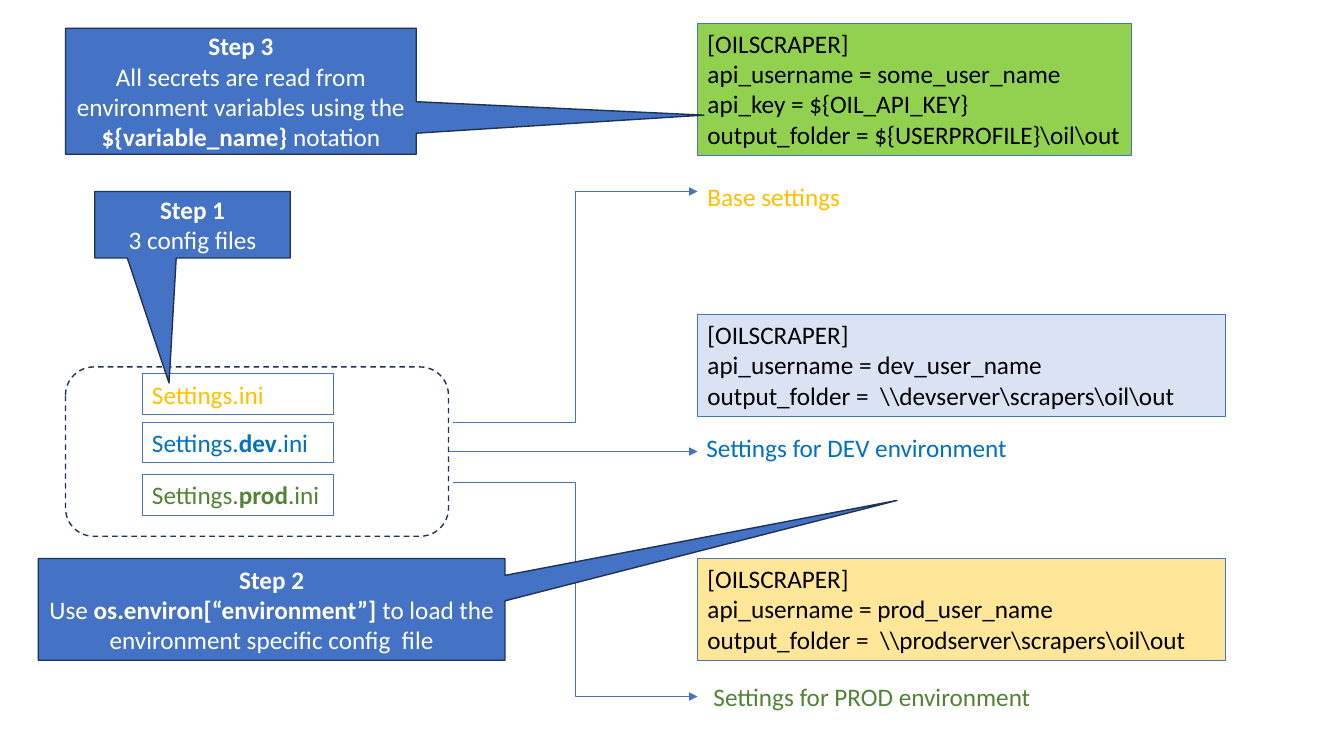
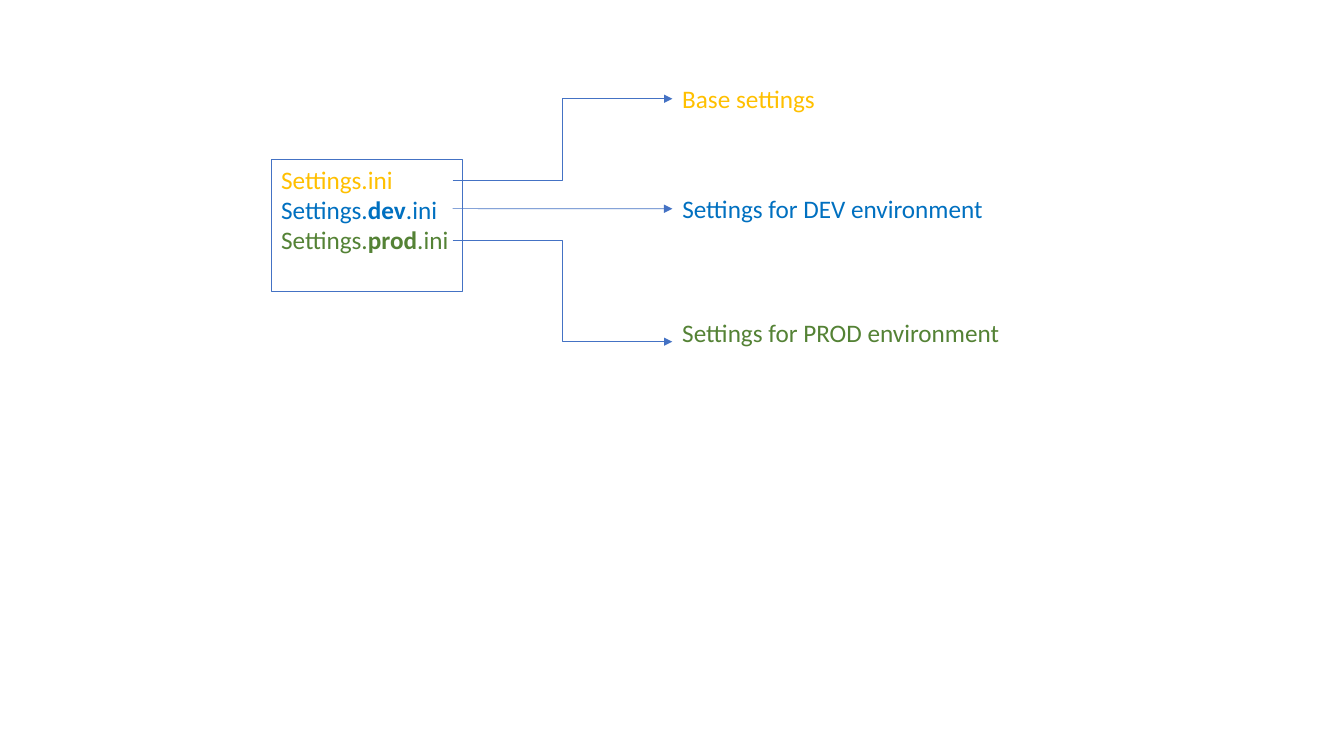
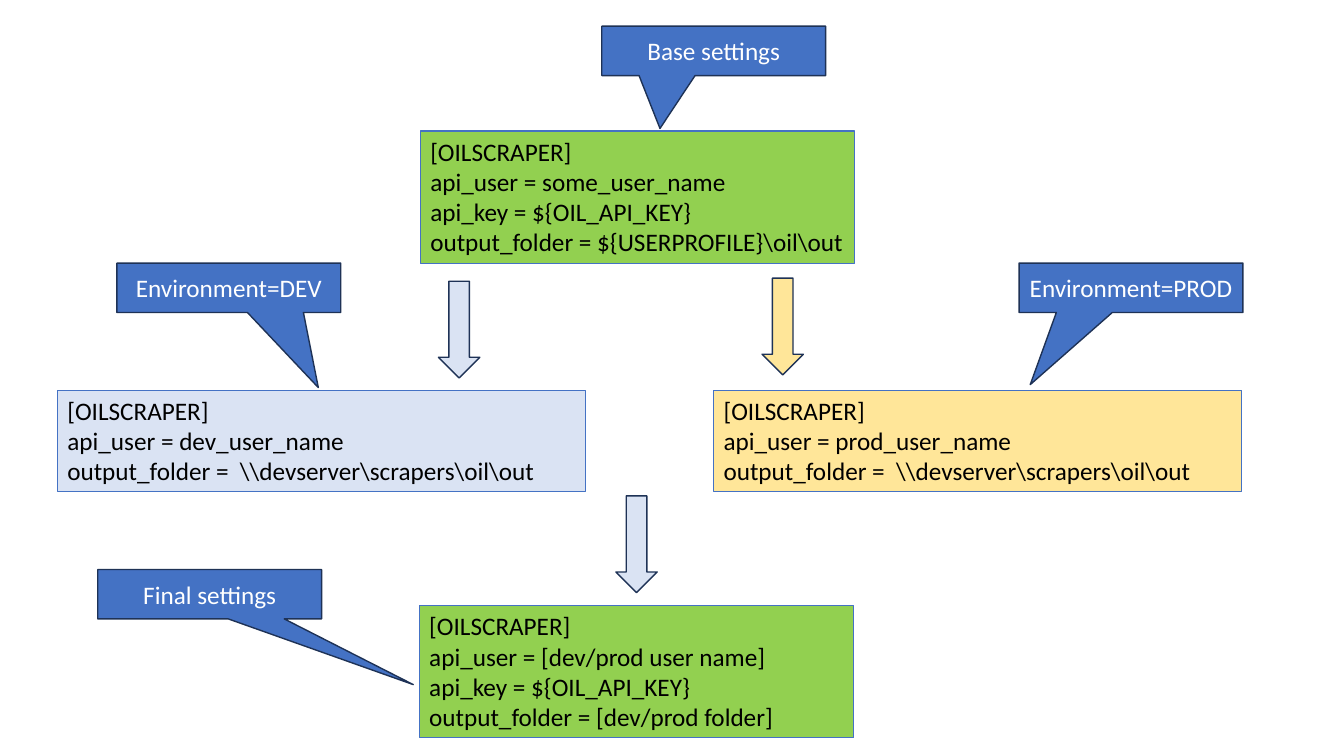
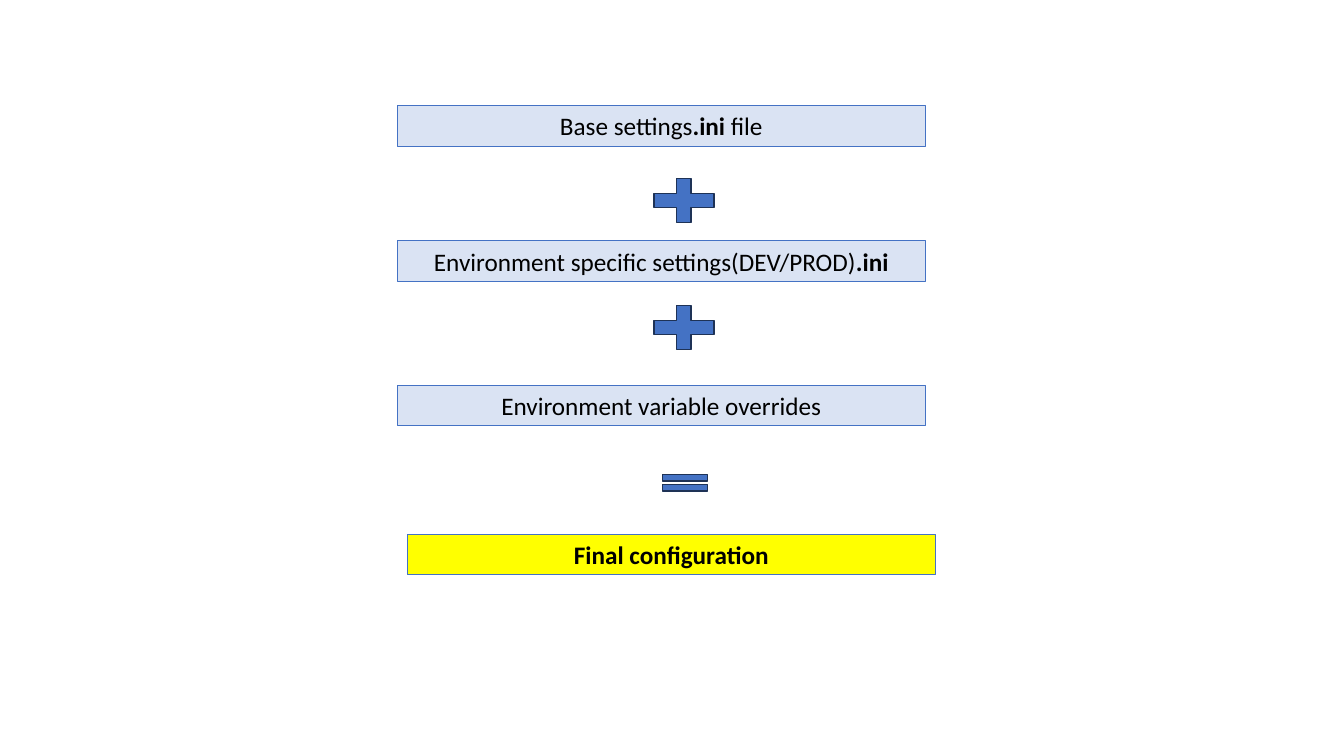
from lxml.etree import SubElement
from pptx import Presentation
from pptx.dml.color import RGBColor
from pptx.enum.dml import MSO_LINE
from pptx.enum.shapes import MSO_CONNECTOR, MSO_SHAPE
from pptx.enum.text import MSO_ANCHOR, PP_ALIGN
from pptx.oxml.ns import qn
from pptx.util import Inches, Pt

BLUE = RGBColor(0x44, 0x72, 0xC4)
NAVY = RGBColor(0x1E, 0x32, 0x56)
PALE_BLUE = RGBColor(0xDA, 0xE3, 0xF3)
PALE_GOLD = RGBColor(0xFF, 0xE6, 0x99)
LIME = RGBColor(0x92, 0xD0, 0x50)
YELLOW = RGBColor(0xFF, 0xFF, 0x00)
BLACK = RGBColor(0, 0, 0)
WHITE = RGBColor(0xFF, 0xFF, 0xFF)
BASE_COLOR = RGBColor(0xFF, 0xC0, 0x00)
DEV_COLOR = RGBColor(0x00, 0x70, 0xC0)
PROD_COLOR = RGBColor(0x54, 0x82, 0x35)

FONT, TEXT_SIZE = "Calibri", Pt(18)
LINE_ROWS, PADDING_ROWS = 3.03, 1  # height of a text line and of the box padding
WIDE = 52.4  # columns of a wide card

# File name, text colour, what the file holds, width of that label
FILES = [
    ("Settings.ini", BASE_COLOR, "Base settings", 19.4),
    ("Settings.**dev**.ini", DEV_COLOR, "Settings for DEV environment", 32.8),
    ("Settings.**prod**.ini", PROD_COLOR, "Settings for PROD environment", 37.6),
]


def cells(*counts):
    """Turn columns or rows of the tenth-of-an-inch grid into lengths."""
    return [Inches(count / 10) for count in counts]


def rows_for(line_count):
    return line_count * LINE_ROWS + PADDING_ROWS


def write(shape, lines, colors, align=PP_ALIGN.LEFT, anchor=MSO_ANCHOR.TOP):
    """Write one paragraph a line; text between ** marks is bold."""
    frame = shape.text_frame
    frame.word_wrap = True
    frame.vertical_anchor = anchor
    if align == PP_ALIGN.LEFT:
        frame.margin_right = 0
    else:
        frame.margin_left = frame.margin_right = Inches(0.05)
    for index, (line, color) in enumerate(zip(lines, colors)):
        para = frame.paragraphs[0] if index == 0 else frame.add_paragraph()
        para.alignment = align
        for part, text in enumerate(line.split("**")):
            if text:
                span = para.add_run()
                span.text = text
                span.font.name, span.font.size = FONT, TEXT_SIZE
                span.font.bold = part % 2 == 1
                span.font.color.rgb = color


def add_figure(slide, kind, box, fill=None, line=NAVY, weight=1):
    shape = slide.shapes.add_shape(kind, *cells(*box))
    shape.shadow.inherit = False
    if fill is None:
        shape.fill.background()
    else:
        shape.fill.solid()
        shape.fill.fore_color.rgb = fill
    shape.line.color.rgb = line
    shape.line.width = Pt(weight)
    return shape


def add_card(slide, left, top, width, lines, fill=None, colors=None, height=None,
             align=PP_ALIGN.LEFT):
    box = (left, top, width, height or rows_for(len(lines)))
    card = add_figure(slide, MSO_SHAPE.RECTANGLE, box, fill, BLUE, 0.75)
    write(card, lines, colors or [BLACK] * len(lines), align)
    return card


def add_config(slide, left, top, width, settings, fill):
    return add_card(slide, left, top, width, ["[OILSCRAPER]"] + settings, fill)


def add_callout(slide, box, tip, lines):
    """The tip is given from the centre, in shares of the box."""
    callout = add_figure(slide, MSO_SHAPE.RECTANGULAR_CALLOUT, box, BLUE)
    callout.adjustments[0], callout.adjustments[1] = tip
    write(callout, lines, [WHITE] * len(lines), PP_ALIGN.CENTER, MSO_ANCHOR.MIDDLE)


def add_label(slide, left, top, width, text, color):
    label = slide.shapes.add_textbox(*cells(left, top, width, rows_for(1)))
    write(label, [text], [color])
    return label


def add_arrow(slide, left, start_row, right, end_row):
    straight = start_row == end_row
    kind = MSO_CONNECTOR.STRAIGHT if straight else MSO_CONNECTOR.ELBOW
    arrow = slide.shapes.add_connector(kind, *cells(left, start_row, right, end_row))
    arrow.line.color.rgb = BLUE
    arrow.line.width = Pt(0.5)
    SubElement(arrow.line._get_or_add_ln(), qn("a:tailEnd"), type="triangle")
    SubElement(arrow._element.spPr, qn("a:effectLst"))
    return arrow


def add_fan(slide, left, right, rows, label_spots):
    """Arrows from the files to their labels, one (start, end) row pair each."""
    arrows, labels = [], []
    for file, (start, end), spot in zip(FILES, rows, label_spots):
        _, color, meaning, width = file
        arrows.append(add_arrow(slide, left, start, right, end))
        labels.append(add_label(slide, *spot, width, meaning, color))
    return arrows, labels


def add_file_group(slide, left, top, width, height):
    """Dashed frame with one box for each settings file."""
    frame = add_figure(slide, MSO_SHAPE.ROUNDED_RECTANGLE, (left, top, width, height))
    frame.line.dash_style = MSO_LINE.DASH
    for (name, color, _, _), offset in zip(FILES, (0.7, 5.5, 10.7)):
        add_card(slide, left + width * 0.2, top + offset, width / 2, [name],
                 colors=[color])
    return frame


def build_steps(slide):
    # Files and what they lead to
    frame = add_file_group(slide, 6.5, 36.4, 38, 16.8)
    arrows, _ = add_fan(slide, 44.9, 69.2,
                        [(41.9, 19), (44.8, 44.8), (47.9, 69.1)],
                        [(69.2, 17.5), (69.1, 42.4), (69.8, 67.1)])
    arrows[1].begin_connect(frame, 3)

    # File contents
    add_config(slide, 69.2, 2.3, 43.1,
               ["api_username = some_user_name", "api_key = ${OIL_API_KEY}",
                "output_folder = ${USERPROFILE}\\oil\\out"], LIME)
    for top, name, fill in ((31.2, "dev", PALE_BLUE), (55.4, "prod", PALE_GOLD)):
        add_config(slide, 69.2, top, WIDE,
                   [f"api_username = {name}_user_name",
                    f"output_folder =  \\\\{name}server\\scrapers\\oil\\out"], fill)

    # Steps
    add_callout(slide, (9.4, 19, 19.4, 6.6), (-0.12, 2.38),
                ["**Step 1**", "3 config files"])
    add_callout(slide, (3.8, 55.4, 46.3, 10.1), (1.34, -1.07),
                ["**Step 2**", "Use **os.environ[“environment”]** to load the "
                 "environment specific config  file"])
    add_callout(slide, (6.5, 2.8, 34.8, 12.5), (1.32, 0.19),
                ["**Step 3**",
                 "All secrets are read from environment variables using the",
                 "**${variable_name}** notation"])


def build_files(slide):
    names, colors, _, _ = zip(*FILES)
    add_card(slide, 26.9, 15.8, 19, names, colors=colors, height=rows_for(4))
    arrows, labels = add_fan(slide, 44.9, 66.7,
                             [(17.9, 9.8), (20.7, 20.7), (23.8, 33.9)],
                             [(66.7, 7.8), (66.7, 18.7), (66.7, 31)])
    arrows[1].end_connect(labels[1], 1)


def build_merge(slide):
    # Base, environment and final settings
    add_config(slide, 41.7, 13, 43.1,
               ["api_user = some_user_name", "api_key = ${OIL_API_KEY}",
                "output_folder = ${USERPROFILE}\\oil\\out"], LIME)
    for left, name, fill in ((5.7, "dev", PALE_BLUE), (70.8, "prod", PALE_GOLD)):
        add_config(slide, left, 38.7, WIDE,
                   [f"api_user = {name}_user_name",
                    "output_folder =  \\\\devserver\\scrapers\\oil\\out"], fill)
    add_config(slide, 41.6, 60.1, 43.1,
               ["api_user = [dev/prod user name]", "api_key = ${OIL_API_KEY}",
                "output_folder = [dev/prod folder]"], LIME)

    # Flow
    for left, top, fill in ((43.5, 27.9, PALE_BLUE), (75.6, 27.6, PALE_GOLD),
                            (61.1, 49.2, PALE_BLUE)):
        add_figure(slide, MSO_SHAPE.DOWN_ARROW, (left, top, 4.1, 9.6), fill)

    # Callouts
    for left, top, tip, text in (
            (11.6, 26.1, (0.4, 2.02), "Environment=DEV"),
            (101.1, 26.1, (-0.45, 1.96), "Environment=PROD"),
            (59.7, 2.6, (-0.24, 1.57), "Base settings"),
            (9.7, 56.5, (0.91, 1.83), "Final settings")):
        add_callout(slide, (left, top, 22.2, 4.9), tip, [text])


def build_sum(slide):
    # Terms and result
    for left, top, text, fill in (
            (39.4, 10.5, "Base settings**.ini** file", PALE_BLUE),
            (39.4, 23.9, "Environment specific settings(DEV/PROD)**.ini**", PALE_BLUE),
            (39.4, 38.2, "Environment variable overrides", PALE_BLUE),
            (40.4, 53, "**Final configuration**", YELLOW)):
        add_card(slide, left, top, WIDE, [text], fill, align=PP_ALIGN.CENTER)

    # Signs
    for top in (16.9, 29.5):
        add_figure(slide, MSO_SHAPE.MATH_PLUS, (63.8, top, 8.1, 6), BLUE)
    add_figure(slide, MSO_SHAPE.MATH_EQUAL, (64.9, 46.5, 6.1, 2.8), BLUE)


def main():
    deck = Presentation()
    deck.slide_width, deck.slide_height = cells(133.33, 75)
    blank = deck.slide_layouts[6]
    for build in (build_steps, build_files, build_merge, build_sum):
        build(deck.slides.add_slide(blank))
    deck.save("out.pptx")


if __name__ == "__main__":
    main()
